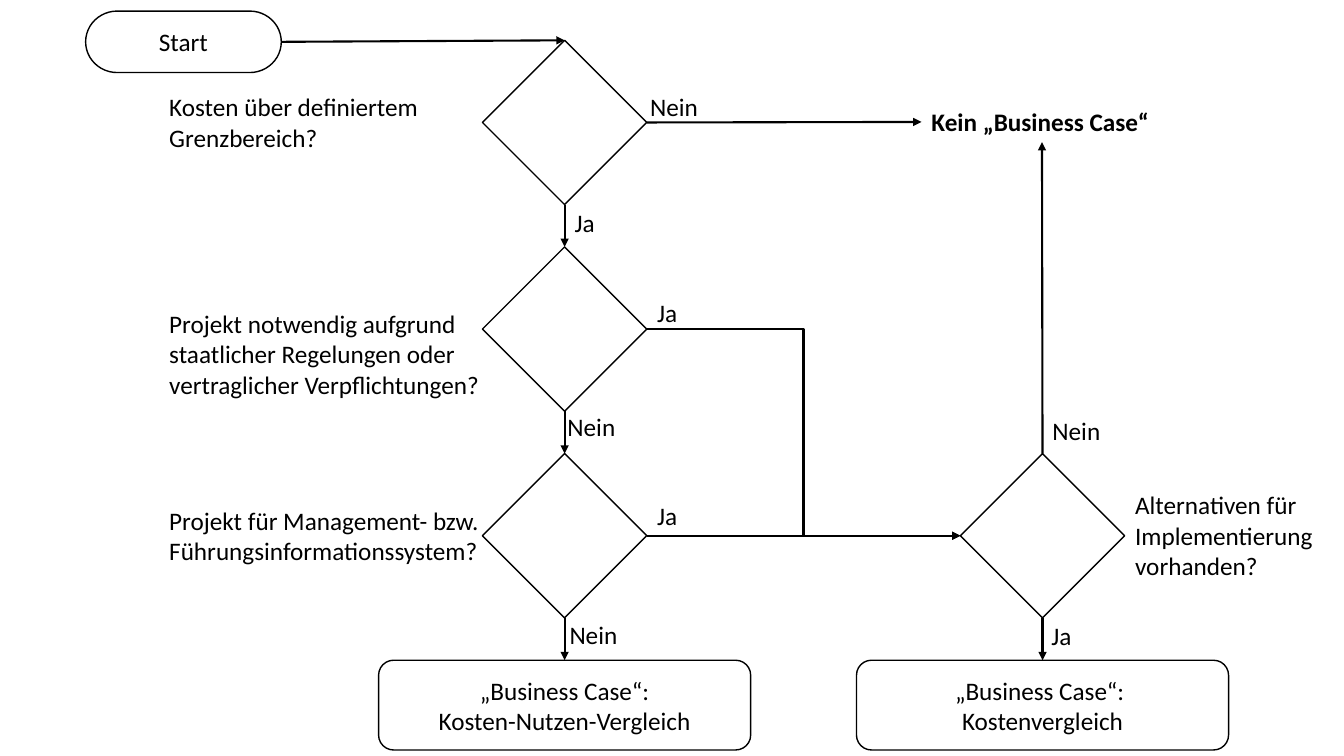
from lxml.etree import SubElement
from pptx import Presentation
from pptx.dml.color import RGBColor
from pptx.enum.shapes import MSO_CONNECTOR, MSO_SHAPE
from pptx.enum.text import MSO_ANCHOR, MSO_AUTO_SIZE, PP_ALIGN
from pptx.oxml.ns import qn
from pptx.util import Inches, Pt

COLORS = {"ink": "000000", "paper": "FFFFFF"}
INK, PAPER = (RGBColor.from_string(COLORS[key]) for key in ("ink", "paper"))
FONT = {"name": "Calibri", "size": Pt(18), "bold": False}
BOX = {"vertical_anchor": MSO_ANCHOR.MIDDLE, "word_wrap": True}
LABEL = {"word_wrap": True, "auto_size": MSO_AUTO_SIZE.SHAPE_TO_FIT_TEXT}
TOP, LEFT, BOTTOM, RIGHT = range(4)

deck = Presentation()
deck.slide_width, deck.slide_height = Inches(13.33), Inches(7.5)
slide = deck.slides.add_slide(deck.slide_layouts[6])
shapes = slide.shapes


def write(shape, text, frame, align, bold=False):
    """Put formatted text into a shape."""
    body = shape.text_frame
    body.text = text
    for key, value in frame.items():
        setattr(body, key, value)
    para = body.paragraphs[0]
    para.alignment = align
    for run in para.runs:
        for key, value in {**FONT, "bold": bold}.items():
            setattr(run.font, key, value)
        run.font.color.rgb = INK


def draw(kind, *place):
    """Add a white shape with a thin black outline."""
    shape = shapes.add_shape(kind, *map(Inches, place))
    shape.shadow.inherit = False
    shape.fill.solid()
    shape.fill.fore_color.rgb = PAPER
    shape.line.color.rgb = INK
    shape.line.width = Pt(1)
    return shape


# Decisions: three in the left column, one beside the last
SIDE, STEP, MAIN, OTHER = 1.63, 2.05, 5.6, 10.34
nodes = {}
for name, mid, row in [("cost", MAIN, 0), ("duty", MAIN, 1),
                       ("system", MAIN, 2), ("choice", OTHER, 2)]:
    nodes[name] = draw(MSO_SHAPE.DIAMOND, mid - SIDE / 2, 0.4 + row * STEP, SIDE, SIDE)

# Start and results
WIDE = 3.69
for name, kind, place, text in [
    ("start", MSO_SHAPE.FLOWCHART_TERMINATOR, (0.85, 0.11, 1.94, 0.61), "Start"),
    ("benefit", MSO_SHAPE.ROUNDED_RECTANGLE, (MAIN - WIDE / 2, 6.55, WIDE, 0.89),
     "„Business Case“:\vKosten-Nutzen-Vergleich"),
    ("compare", MSO_SHAPE.ROUNDED_RECTANGLE, (OTHER - WIDE / 2, 6.55, WIDE, 0.89),
     "„Business Case“: \vKostenvergleich"),
]:
    nodes[name] = draw(kind, *place)
    write(nodes[name], text, BOX, PP_ALIGN.CENTER)

# Questions, answers and the "no case" result
for left, top, width, height, text in [
    (9.14, 1.01, 2.39, 0.4, "Kein „Business Case“"),
    (1.58, 0.86, WIDE, 0.71, "Kosten über definiertem Grenzbereich?"),
    (1.58, 3.01, WIDE, 1.01, "Projekt notwendig aufgrund staatlicher Regelungen "
     "oder vertraglicher Verpflichtungen?"),
    (1.58, 4.96, WIDE, 0.71, "Projekt für Management- bzw. Führungsinformationssystem?"),
    (11.16, 4.81, 2.15, 1.01, "Alternativen für Implementierung vorhanden?"),
    (6.35, 0.86, 1.19, 0.4, "Nein"),
    (5.53, 4.03, 1.19, 0.4, "Nein"),
    (5.55, 6.09, 1.19, 0.4, "Nein"),
    (10.34, 4.07, 1.19, 0.4, "Nein"),
    (5.6, 2.01, 1.19, 0.4, "Ja"),
    (6.42, 2.9, 1.19, 0.4, "Ja"),
    (6.42, 4.91, 1.19, 0.4, "Ja"),
    (10.33, 6.11, 1.19, 0.4, "Ja"),
]:
    label = shapes.add_textbox(*map(Inches, (left, top, width, height)))
    final = text.startswith("Kein")
    write(label, text, LABEL, PP_ALIGN.LEFT, bold=final)
    if final:
        nodes["none"] = label

# Arrows glued to the nodes
for source, out, target, into in [
    ("start", RIGHT, "cost", TOP),
    ("cost", BOTTOM, "duty", TOP),
    ("duty", BOTTOM, "system", TOP),
    ("system", BOTTOM, "benefit", TOP),
    ("cost", RIGHT, "none", LEFT),
    ("choice", TOP, "none", BOTTOM),
    ("choice", BOTTOM, "compare", TOP),
    ("system", RIGHT, "choice", LEFT),
    ("duty", RIGHT, "choice", LEFT),
]:
    bent = (source, target) == ("duty", "choice")
    kind = MSO_CONNECTOR.ELBOW if bent else MSO_CONNECTOR.STRAIGHT
    arrow = shapes.add_connector(kind, 0, 0, 0, 0)
    arrow.begin_connect(nodes[source], out)
    arrow.end_connect(nodes[target], into)
    arrow.line.color.rgb = INK
    arrow.line.width = Pt(1.5)
    SubElement(arrow.line._get_or_add_ln(), qn("a:tailEnd"), type="triangle")
    SubElement(arrow._element.spPr, qn("a:effectLst"))

deck.save("out.pptx")
